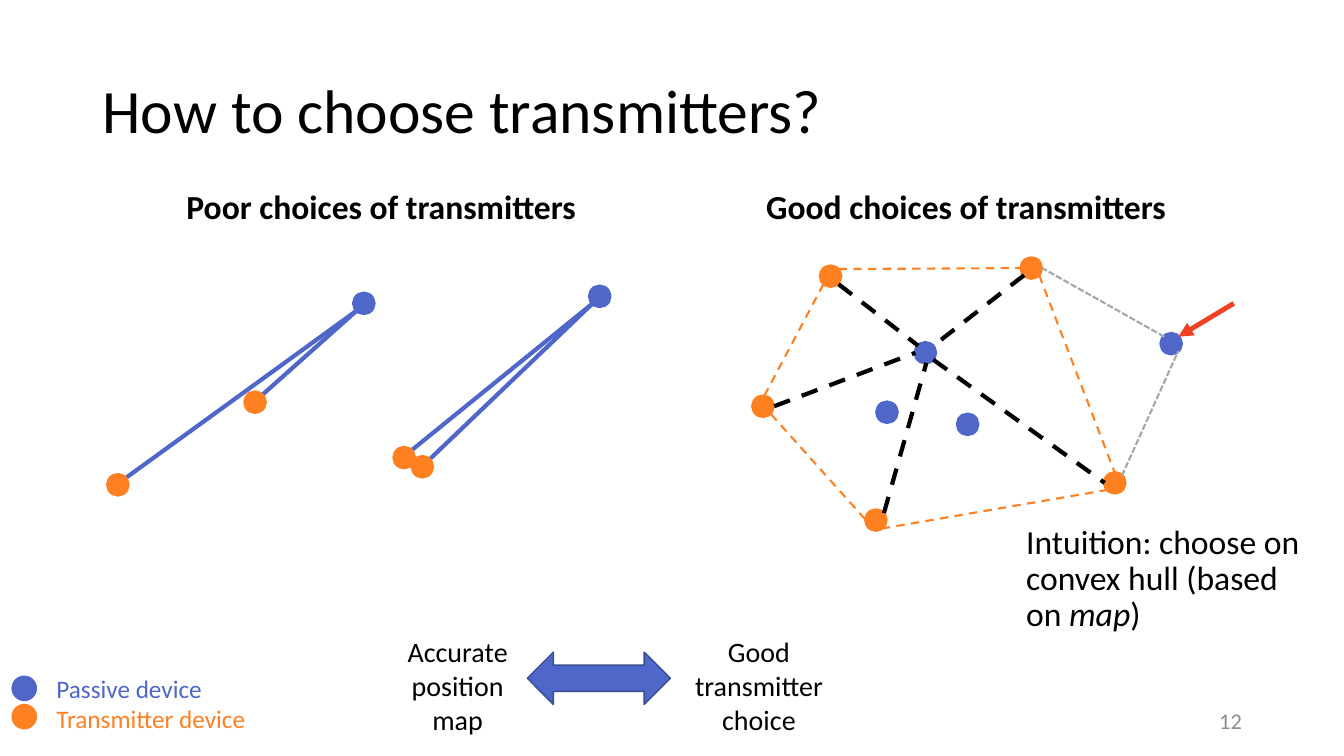
from lxml import etree
from pptx import Presentation
from pptx.dml.color import RGBColor
from pptx.enum.dml import MSO_LINE
from pptx.enum.shapes import MSO_CONNECTOR, MSO_SHAPE
from pptx.enum.text import MSO_ANCHOR, MSO_AUTO_SIZE, PP_ALIGN
from pptx.oxml.ns import qn
from pptx.util import Pt

LEFT, MID, RIGHT = PP_ALIGN.LEFT, PP_ALIGN.CENTER, PP_ALIGN.RIGHT
TOP, CENTER, BASE = MSO_ANCHOR.TOP, MSO_ANCHOR.MIDDLE, MSO_ANCHOR.BOTTOM
FIXED = MSO_AUTO_SIZE.NONE
DASH, SHORT = MSO_LINE.DASH, MSO_LINE.SQUARE_DOT
STRAIGHT = MSO_CONNECTOR.STRAIGHT
OVAL, ARROW = MSO_SHAPE.OVAL, MSO_SHAPE.LEFT_RIGHT_ARROW

hues = {"blue": "4E67C8", "navy": "3A4C94", "orange": "FF8021", "red": "F14124",
        "gray": "A6A6A6", "page": "8C8C8C", "black": "000000"}
color = {name: RGBColor.from_string(code) for name, code in hues.items()}

deck = Presentation()
deck.slide_width, deck.slide_height = Pt(960), Pt(540)
slide = deck.slides.add_slide(deck.slide_layouts[4])
shapes = slide.shapes
title, poor, hint, good, spare = slide.placeholders
spare.element.getparent().remove(spare.element)


def write(box, place, lines, size, align, anchor, hue="black", bold=False):
    box.left, box.top, box.width, box.height = map(Pt, place)
    frame = box.text_frame
    frame.word_wrap = True
    frame.auto_size = FIXED
    frame.vertical_anchor = anchor
    frame.text = lines
    for par in frame.paragraphs:
        par.alignment = align
        par.space_before = Pt(0)
        par.font.name = "Calibri"
        par.font.size = Pt(size)
        par.font.bold = bold
        par.font.color.rgb = color[hue]
    return frame


def paint(kind, place, fill, edge, width):
    shape = shapes.add_shape(kind, *map(Pt, place))
    shape.shadow.inherit = False
    shape.fill.solid()
    shape.fill.fore_color.rgb = color[fill]
    shape.line.color.rgb = color[edge]
    shape.line.width = Pt(width)


write(title, (66, 28.8, 828, 104.4), "How to choose transmitters?", 44, LEFT, CENTER)
write(poor, (66, 132.5, 412.6, 33.1), "Poor choices of transmitters", 24, MID, BASE, bold=True)
write(good, (486, 132.5, 408.2, 33.1), "Good choices of transmitters", 24, MID, BASE, bold=True)
frame = write(hint, (725.8, 371.5, 211, 87.8), "", 24, LEFT, TOP)
par = frame.paragraphs[0]
for text, slant in (("Intuition: choose on convex hull (based on ", False), ("map", True), (")", False)):
    run = par.add_run()
    run.text = text
    run.font.italic = slant
props = par._p.get_or_add_pPr()
props.set("marL", "0")
props.set("indent", "0")
props.insert_element_before(etree.Element(qn("a:buNone")), "a:tabLst", "a:defRPr", "a:extLst")
for box in (title, poor, good, hint):
    box.text_frame.paragraphs[0].line_spacing = 0.9

notes = [
    ((277.2, 450, 99.4, 79.9), "Accurate position map", 20, MID, TOP, "black"),
    ((483.1, 450, 118.1, 79.9), "Good transmitter choice", 20, MID, TOP, "black"),
    ((678.2, 500.4, 216, 28.8), "12", 16, RIGHT, CENTER, "page"),
]
for place, *style in notes:
    write(shapes.add_textbox(0, 0, 0, 0), place, *style)

key = write(shapes.add_textbox(0, 0, 0, 0), (40.3, 481, 159.8, 49),
            "Passive device\nTransmitter device", 18, LEFT, TOP, "blue")
key.margin_left = key.margin_top = key.margin_right = key.margin_bottom = 0
key.paragraphs[1].font.color.rgb = color["orange"]

poor_links = [
    (254.9, 221.8, 187.2, 282.2), (254.9, 221.8, 90, 341.3),
    (423.4, 216.7, 306.7, 328.3), (423.4, 216.7, 293.8, 321.8),
]
good_links = [
    (599, 203, 655.9, 247), (631.4, 366.5, 661.7, 259.2), (553, 290.2, 653.8, 252),
    (666.7, 257, 789.1, 344.9), (731.5, 196.6, 666.7, 247),
]
hull = [
    (599, 192.2, 729.4, 191.5), (742.3, 196.6, 796.3, 337.7), (588.2, 203, 545.8, 283),
    (550.8, 295.9, 618.5, 371.5), (791.3, 349.9, 631.4, 377.3),
]
outer = [(831.6, 240.5, 744.5, 191.5), (801.4, 339.8, 841.7, 250.6)]
pointer = [(841.7, 240.5, 881.3, 216.7)]

blue_dots = [
    (252.7, 209.5), (421.2, 204.5), (653.8, 244.8), (684, 295.9), (626.4, 287.3),
    (829.4, 238.3),
]
orange_dots = [
    (77, 339.1), (175, 280.1), (281.5, 319.7), (294.5, 326.2), (789.1, 337.7),
    (618.5, 364.3), (537.8, 283), (586.1, 190.1), (729.4, 184.3),
]

groups = [
    (poor_links, "blue", 3, None), (blue_dots, "blue", 14.4, None),
    (orange_dots, "orange", 14.4, None), (good_links, "black", 3, DASH),
    (pointer, "red", 3.5, None), (hull, "orange", 1.5, DASH), (outer, "gray", 1.5, SHORT),
]
for items, hue, size, dash in groups:
    for item in items:
        if len(item) == 2:
            paint(OVAL, (*item, size, size), hue, hue, 2.5)
            continue
        link = shapes.add_connector(STRAIGHT, *map(Pt, item))
        link.line.color.rgb = color[hue]
        link.line.width = Pt(size)
        if dash:
            link.line.dash_style = dash
        if items is pointer:
            etree.SubElement(link.line._get_or_add_ln(), qn("a:headEnd"), type="triangle")
        etree.SubElement(link._element.spPr, qn("a:effectLst"))

paint(ARROW, (376.6, 465.8, 102.2, 37.4), "blue", "navy", 1)
for top, hue in ((483.8, "blue"), (504, "orange")):
    paint(OVAL, (9.4, top, 15.8, 15.8), hue, hue, 2.5)

deck.save("out.pptx")
